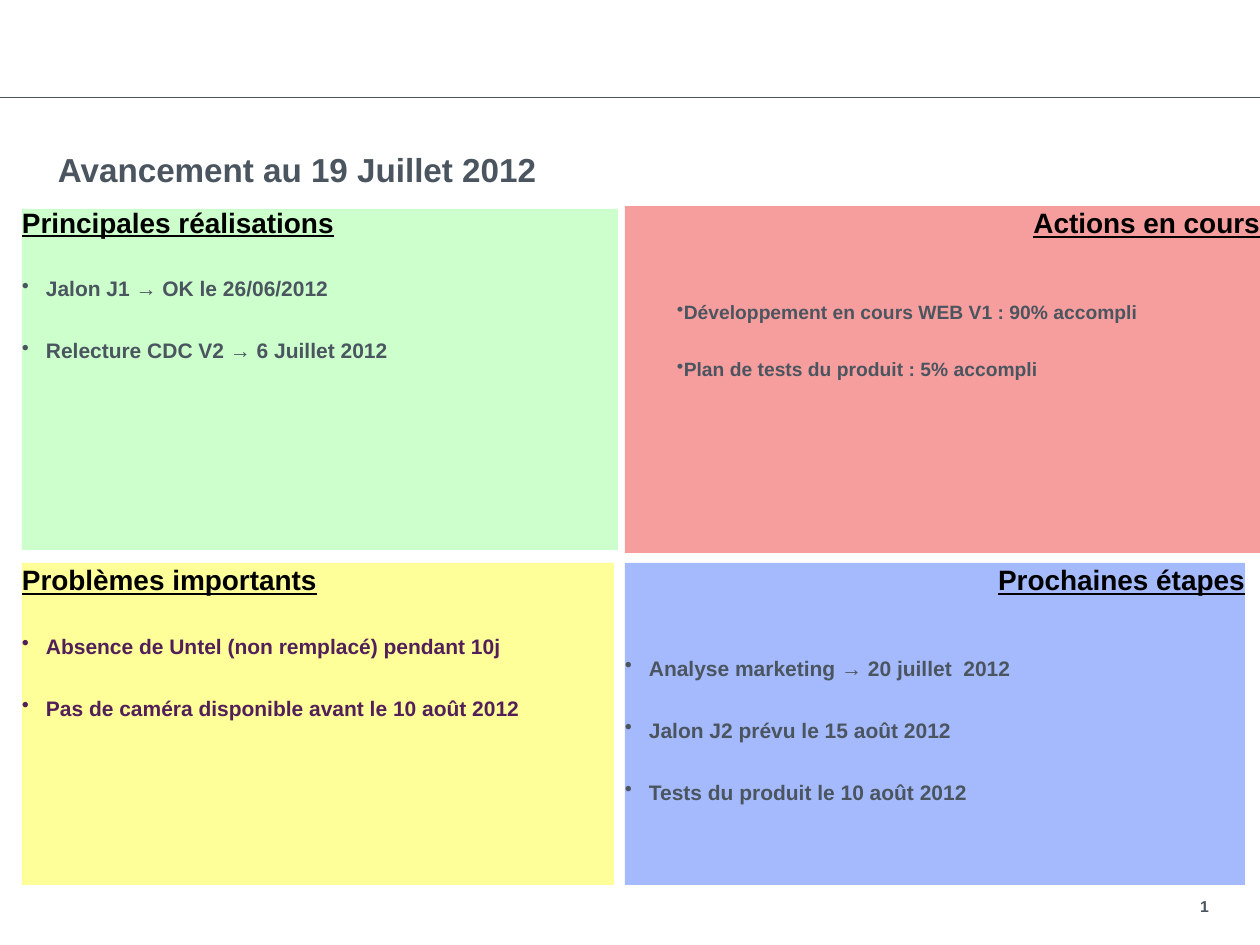
import pptx
import pptx.util
import pptx.dml.color
import pptx.enum.shapes
import pptx.enum.text
import pptx.oxml.ns
import lxml.etree

WIDTH, HEIGHT = 1260, 945
EMU_PER_PX = 914400 // 126
FONT = "Arial"
SLATE, PURPLE, BLACK = "4B555F", "521F59", "000000"
LEFT = pptx.enum.text.PP_ALIGN.LEFT
RIGHT = pptx.enum.text.PP_ALIGN.RIGHT
TOP = pptx.enum.text.MSO_ANCHOR.TOP
BOTTOM = pptx.enum.text.MSO_ANCHOR.BOTTOM

TITLE = "Avancement au 19 Juillet 2012"
PAGE_NUMBER = "1"

HANGING = {"size": 12, "margin": 24, "indent": -24, "gap": 21}
FLUSH = {"size": 11, "margin": 52, "indent": 0, "gap": 19.3}

PANELS = [
    {"heading": "Principales réalisations", "area": (22, 209, 596, 341),
     "fill": "CCFFCC", "color": SLATE, "align": LEFT, "heading_spacing": 0.9,
     "first_gap": 21, "style": HANGING,
     "items": ["Jalon J1 → OK le 26/06/2012",
               "Relecture CDC V2 → 6 Juillet 2012"]},
    {"heading": "Problèmes importants", "area": (22, 563, 592, 322),
     "fill": "FFFF99", "color": PURPLE, "align": LEFT, "heading_spacing": 1.0,
     "first_gap": 21, "style": HANGING,
     "items": ["Absence de Untel (non remplacé) pendant 10j",
               "Pas de caméra disponible avant le 10 août 2012"]},
    {"heading": "Prochaines étapes", "area": (625, 563, 620, 322),
     "fill": "A5BAFD", "color": SLATE, "align": RIGHT, "heading_spacing": 1.0,
     "first_gap": 33.6, "style": HANGING,
     "items": ["Analyse marketing → 20 juillet  2012",
               "Jalon J2 prévu le 15 août 2012",
               "Tests du produit le 10 août 2012"]},
    {"heading": "Actions en cours", "area": (625, 206, 635, 347),
     "fill": "F69E9E", "color": SLATE, "align": RIGHT, "heading_spacing": 1.0,
     "first_gap": 34.5, "style": FLUSH,
     "items": ["Développement en cours WEB V1 : 90% accompli",
               "Plan de tests du produit : 5% accompli"]},
]


def px(value):
    return pptx.util.Emu(value * EMU_PER_PX)


def rgb(color):
    return pptx.dml.color.RGBColor.from_string(color)


def write(para, text, size, color, align=LEFT, underline=False):
    para.text = text
    para.alignment = align
    for span in para.runs:
        span.font.name = FONT
        span.font.size = pptx.util.Pt(size)
        span.font.bold = True
        span.font.underline = underline
        span.font.color.rgb = rgb(color)


def prepare_frame(box, anchor=TOP):
    frame = box.text_frame
    frame.word_wrap = True
    frame.auto_size = pptx.enum.text.MSO_AUTO_SIZE.NONE
    frame.vertical_anchor = anchor
    frame.margin_left = frame.margin_right = 0
    frame.margin_top = frame.margin_bottom = 0
    return frame


def add_bullet(para, margin, indent):
    properties = para._p.get_or_add_pPr()
    properties.set("marL", str(px(margin)))
    properties.set("indent", str(px(indent)))
    bullet = lxml.etree.SubElement(properties, pptx.oxml.ns.qn("a:buChar"))
    bullet.set("char", "•")


def add_title(page):
    title = page.shapes.title
    title.left, title.top, title.width, title.height = map(px, (58, 149, 1149, 82))
    write(prepare_frame(title).paragraphs[0], TITLE, 19, SLATE)


def add_rule(page):
    rule = page.shapes.add_connector(
        pptx.enum.shapes.MSO_CONNECTOR.STRAIGHT, 0, px(97), px(WIDTH), px(97))
    rule.line.color.rgb = rgb(SLATE)
    rule.line.width = pptx.util.Pt(0.25)
    lxml.etree.SubElement(rule._element.spPr, pptx.oxml.ns.qn("a:effectLst"))


def add_page_number(page):
    box = page.shapes.add_textbox(*map(px, (942, 897, 267, 19)))
    frame = prepare_frame(box, BOTTOM)
    write(frame.paragraphs[0], PAGE_NUMBER, 9, SLATE, RIGHT)


def add_panel(page, panel):
    box = page.shapes.add_shape(
        pptx.enum.shapes.MSO_SHAPE.RECTANGLE, *map(px, panel["area"]))
    box.shadow.inherit = False
    box.fill.solid()
    box.fill.fore_color.rgb = rgb(panel["fill"])
    box.line.fill.background()
    frame = prepare_frame(box)
    heading = frame.paragraphs[0]
    write(heading, panel["heading"], 16, BLACK, panel["align"], True)
    heading.line_spacing = panel["heading_spacing"]
    style = panel["style"]
    for index, item in enumerate(panel["items"]):
        para = frame.add_paragraph()
        add_bullet(para, style["margin"], style["indent"])
        write(para, item, style["size"], panel["color"])
        gap = style["gap"] if index else panel["first_gap"]
        para.space_before = pptx.util.Pt(gap)


def main():
    deck = pptx.Presentation()
    deck.slide_width, deck.slide_height = px(WIDTH), px(HEIGHT)
    page = deck.slides.add_slide(deck.slide_layouts.get_by_name("Title Only"))
    add_rule(page)
    add_page_number(page)
    add_title(page)
    for panel in PANELS:
        add_panel(page, panel)
    deck.save("out.pptx")


if __name__ == "__main__":
    main()
